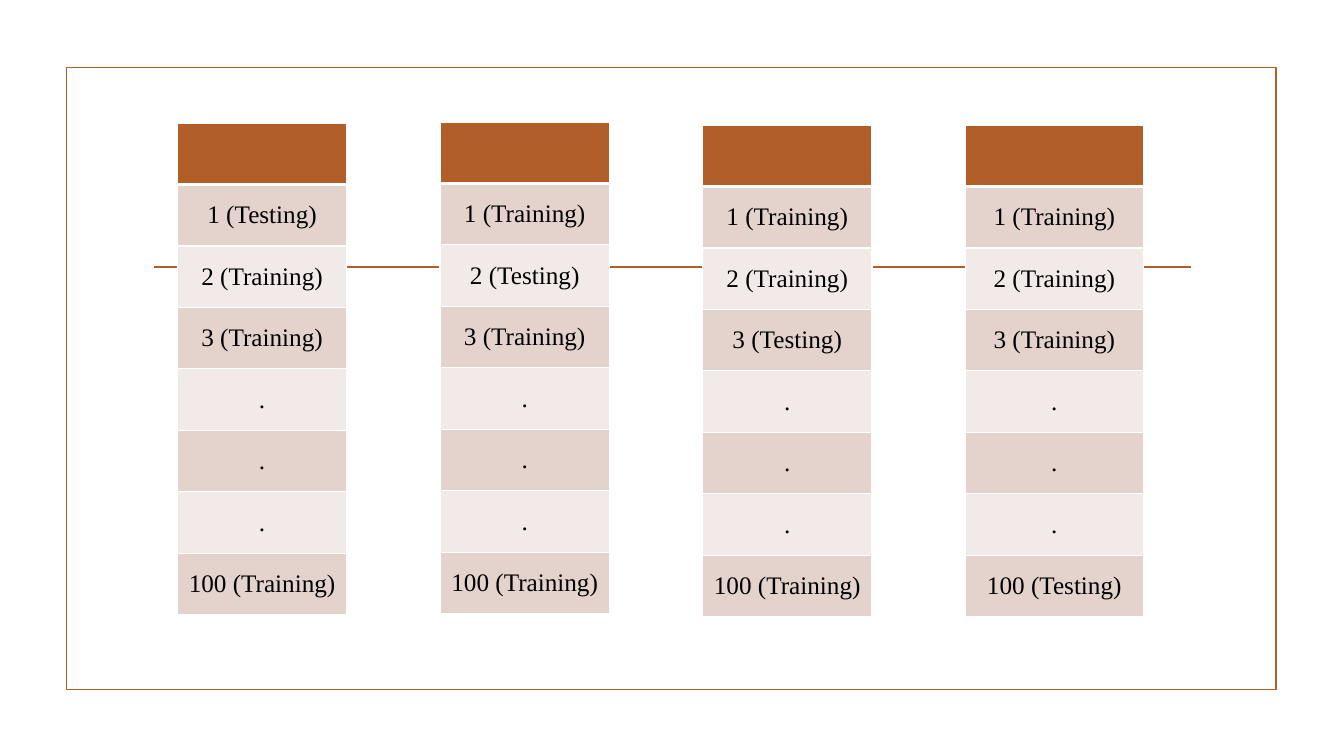
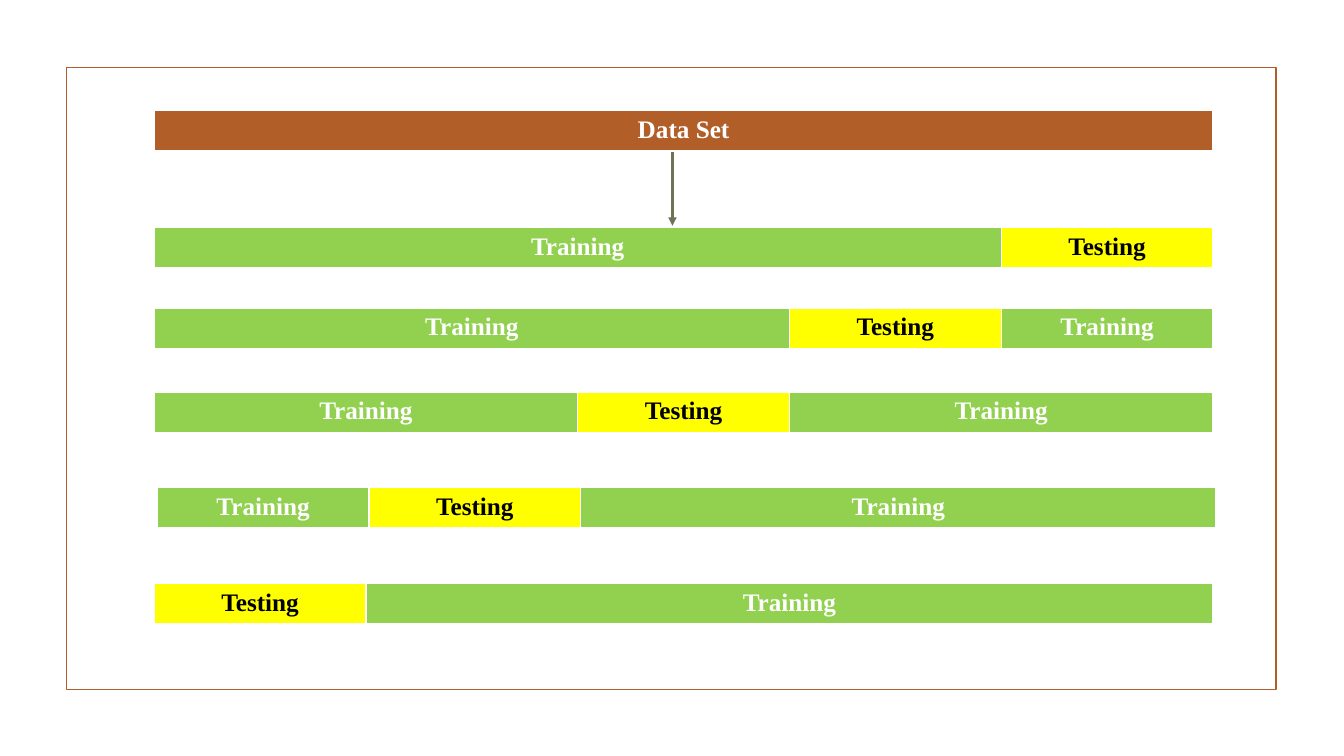
from lxml.etree import SubElement
from pptx import Presentation
from pptx.dml.color import RGBColor
from pptx.enum.shapes import MSO_CONNECTOR, MSO_SHAPE
from pptx.enum.text import MSO_ANCHOR, PP_ALIGN
from pptx.oxml import parse_xml
from pptx.oxml.ns import nsdecls, qn
from pptx.util import Inches, Pt

HUES = {
    "rust": "B15E28",
    "dark": "E4D2CD",
    "pale": "F2EAE8",
    "green": "92D050",
    "yellow": "FFFF00",
    "olive": "6E7355",
    "white": "FFFFFF",
    "black": "000000",
}
FONT = "Times New Roman"
ROLES = {
    "Training": ("green", "white"),
    "Testing": ("yellow", "black"),
    "Data Set": ("rust", "white"),
}
FOLDS = 5


def hue(name):
    return RGBColor.from_string(HUES[name])


def write(frame, text, size=18, color="black", bold=False, align=PP_ALIGN.CENTER):
    para = frame.paragraphs[0]
    para.alignment = align
    run = para.add_run()
    run.text = text
    run.font.name = FONT
    run.font.size = Pt(size)
    run.font.bold = bold
    run.font.color.rgb = hue(color)


def border(cell, top=1, bottom=1):
    props = cell._tc.get_or_add_tcPr()
    sides = {"L": 1, "R": 1, "T": top, "B": bottom}
    for spot, (side, width) in enumerate(sides.items()):
        props.insert(spot, parse_xml(
            f'<a:ln{side} {nsdecls("a")} w="{Pt(width)}"><a:solidFill>'
            f'<a:srgbClr val="{HUES["white"]}"/></a:solidFill></a:ln{side}>'))


def paint(cell, fill, **edges):
    cell.fill.solid()
    cell.fill.fore_color.rgb = hue(fill)
    border(cell, **edges)


def grid(slide, left, top, widths, heights):
    table = slide.shapes.add_table(
        len(heights), len(widths), Inches(left), Inches(top),
        Inches(sum(widths)), Inches(sum(heights))).table
    table.first_row = table.horz_banding = False
    for col, width in zip(table.columns, widths):
        col.width = Inches(width)
    for row, height in zip(table.rows, heights):
        row.height = Inches(height)
    return table


def rule(slide, start, end, color, width, arrow=False):
    line = slide.shapes.add_connector(
        MSO_CONNECTOR.STRAIGHT, *map(Inches, (*start, *end)))
    line.line.color.rgb = hue(color)
    line.line.width = Pt(width)
    if arrow:
        SubElement(line.line._get_or_add_ln(), qn("a:tailEnd"), type="triangle")
    SubElement(line._element.spPr, qn("a:effectLst"))


def base(deck):
    slide = deck.slides.add_slide(deck.slide_layouts[6])
    frame = slide.shapes.add_shape(
        MSO_SHAPE.RECTANGLE, *map(Inches, (0.66, 0.67, 12, 6.17)))
    frame.shadow.inherit = False
    frame.fill.background()
    frame.line.color.rgb = hue("rust")
    frame.line.width = Pt(1.25)
    rule(slide, (1.53, 2.65), (11.81, 2.65), "rust", 1.25)
    return slide


def column(slide, left, top, width, test):
    labels = ["", "1", "2", "3", ".", ".", ".", "100"]
    table = grid(slide, left, top, [width], [0.61] * len(labels))
    for row, label in enumerate(labels):
        cell = table.cell(row, 0)
        cell.vertical_anchor = MSO_ANCHOR.MIDDLE
        if row == 0:
            paint(cell, "rust", bottom=3)
            continue
        paint(cell, "dark" if row % 2 else "pale", top=3 if row == 1 else 1)
        role = "Testing" if label == test else "Training"
        write(cell.text_frame, f"{label} ({role})" if label.isdigit() else label)


def bar(slide, left, top, parts, width=10.5):
    unit = width / sum(size for _, size in parts)
    table = grid(slide, left, top, [unit * size for _, size in parts], [0.41])
    for spot, (role, _) in enumerate(parts):
        fill, color = ROLES[role]
        cell = table.cell(0, spot)
        paint(cell, fill, bottom=3)
        write(cell.text_frame, role, color=color, bold=True)


def fold(test):
    parts = [("Training", test), ("Testing", 1), ("Training", FOLDS - 1 - test)]
    return [part for part in parts if part[1]]


def samples(deck):
    slide = base(deck)
    tops = [1.22, 1.21, 1.24, 1.24]
    widths = [1.68, 1.68, 1.68, 1.77]
    tests = ["1", "2", "3", "100"]
    for spot, (top, width, test) in enumerate(zip(tops, widths, tests)):
        column(slide, 1.76 + 2.604 * spot, top, width, test)


def splits(deck):
    slide = base(deck)
    bar(slide, 1.53, 1.1, [("Data Set", 1)])
    places = [(1.53, 2.26), (1.53, 3.06), (1.53, 3.89), (1.56, 4.84), (1.53, 5.79)]
    for spot, (left, top) in enumerate(places):
        bar(slide, left, top, fold(FOLDS - 1 - spot))
    rule(slide, (6.67, 1.51), (6.67, 2.24), "olive", 2, arrow=True)


def main():
    deck = Presentation()
    deck.slide_width = Inches(13.33)
    deck.slide_height = Inches(7.5)
    samples(deck)
    splits(deck)
    deck.save("out.pptx")


if __name__ == "__main__":
    main()
